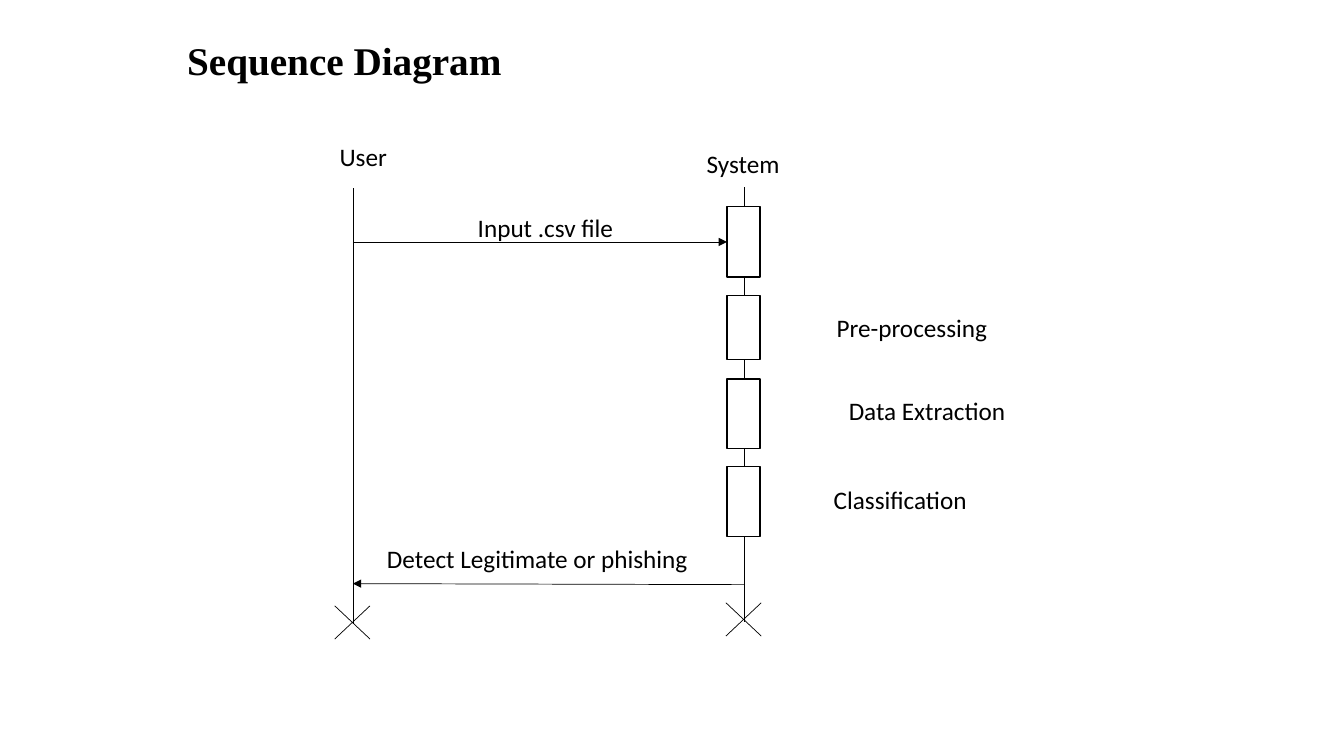
from lxml import etree
from pptx import Presentation
from pptx import util as u
from pptx.dml.color import RGBColor
from pptx.enum import shapes, text
from pptx.oxml.ns import qn

COLORS = {"ink": "000000", "paper": "FFFFFF"}


class Diagram:
    """Holds the style and the current slide."""

    font = "Calibri"
    size = 18

    def __init__(self, slide):
        self.slide = slide
        self.ink = RGBColor.from_string(COLORS["ink"])
        self.paper = RGBColor.from_string(COLORS["paper"])
        slide.background.fill.solid()
        slide.background.fill.fore_color.rgb = self.paper

    def line(self, x1, y1, x2, y2, arrow=False):
        ends = [u.Inches(v) for v in (x1, y1, x2, y2)]
        link = self.slide.shapes.add_connector(
            shapes.MSO_CONNECTOR.STRAIGHT, *ends)
        link.line.color.rgb = self.ink
        link.line.width = u.Pt(0.5)
        if arrow:
            stroke = link.line._get_or_add_ln()
            etree.SubElement(stroke, qn("a:tailEnd"), type="triangle")
        etree.SubElement(link._element.spPr, qn("a:effectLst"))

    def cross(self, left, top, width=0.35, height=0.33):
        right, base = left + width, top + height
        self.line(left, top, right, base)
        self.line(right, top, left, base)

    def bar(self, left, top, width, height):
        area = [u.Inches(v) for v in (left, top, width, height)]
        box = self.slide.shapes.add_shape(
            shapes.MSO_SHAPE.RECTANGLE, *area)
        box.shadow.inherit = False
        box.fill.solid()
        box.fill.fore_color.rgb = self.paper
        box.line.color.rgb = self.ink
        box.line.width = u.Pt(1)

    def label(self, words, left, top, width, height=0.4):
        area = [u.Inches(v) for v in (left, top, width, height)]
        frame = self.slide.shapes.add_textbox(*area).text_frame
        frame.text = words
        frame.word_wrap = False
        frame.auto_size = text.MSO_AUTO_SIZE.SHAPE_TO_FIT_TEXT
        font = frame.paragraphs[0].runs[0].font
        font.name = self.font
        font.size = u.Pt(self.size)
        font.color.rgb = self.ink
        return frame

    def title(self, words, left, top, width, height):
        frame = self.label(words, left, top, width, height)
        frame.word_wrap = True
        para = frame.paragraphs[0]
        para.alignment = text.PP_ALIGN.CENTER
        font = para.runs[0].font
        font.name = "Times New Roman"
        font.size = u.Pt(28)
        font.bold = True


def main():
    deck = Presentation()
    deck.slide_width = u.Inches(13.33)
    deck.slide_height = u.Inches(7.5)
    draw = Diagram(deck.slides.add_slide(deck.slide_layouts[6]))

    user, system = 3.5, 7.38
    edge = 7.21

    # Lifelines
    draw.line(user, 1.87, user, 6.19)
    draw.line(system, 1.86, system, 6.17)

    # Activation bars
    for top, height in [(2.05, 0.7), (2.93, 0.64), (3.76, 0.69), (4.63, 0.69)]:
        draw.bar(edge, top, 0.33, height)

    # Messages
    draw.line(user, 2.4, edge, 2.4, arrow=True)
    draw.line(system, 5.8, user, 5.79, arrow=True)

    # Ends of the lifelines
    draw.cross(3.32, 6.01)
    draw.cross(7.2, 5.98)

    # Labels
    for words, left, top, width in [
        ("User", 3.27, 1.35, 0.7),
        ("System", 6.91, 1.42, 1),
        ("Input .csv file", 4.64, 2.06, 1.84),
        ("Pre-processing", 8.2, 3.05, 1.91),
        ("Data Extraction", 8.32, 3.87, 1.96),
        ("Classification", 8.17, 4.76, 1.7),
    ]:
        draw.label(words, left, top, width)
    draw.label("Detect Legitimate or phishing", 3.74, 5.34, 3.56, 0.71)

    # Title
    draw.title("Sequence Diagram", 0.33, 0.31, 6.17, 0.57)

    deck.save("out.pptx")


if __name__ == "__main__":
    main()
